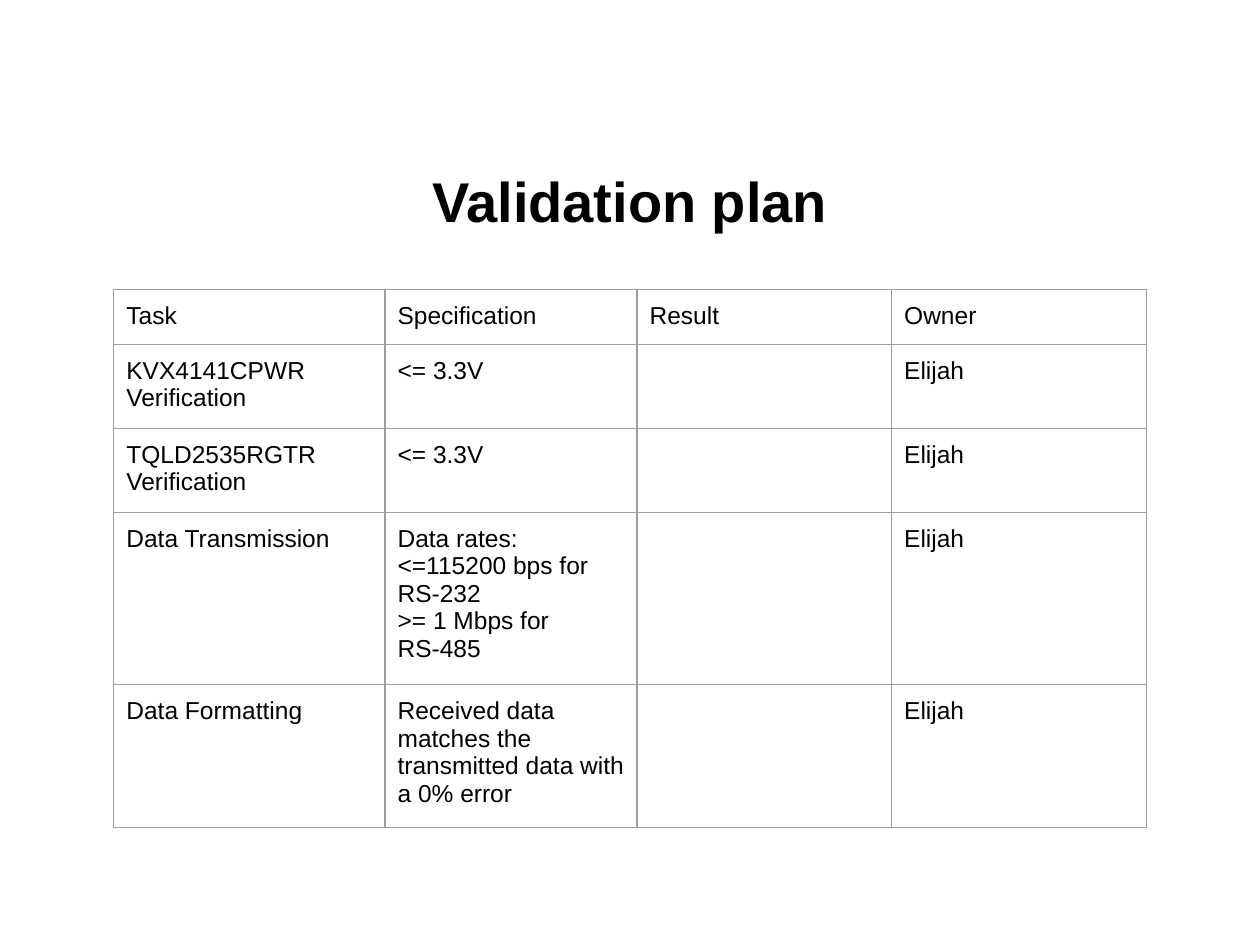
from lxml import etree
from pptx import Presentation
from pptx.dml.color import RGBColor
from pptx.enum.text import MSO_ANCHOR, PP_ALIGN
from pptx.oxml.ns import qn
from pptx.util import Pt

MIDDLE = MSO_ANCHOR.MIDDLE
CENTER = PP_ALIGN.CENTER

COLUMN_WIDTHS = [155, 144, 145.5, 145.5]
ROW_HEIGHTS = [28, 43, 43, 43, 43]
PLAN = [
    ["Task", "Specification", "Result", "Owner"],
    ["KVX4141CPWR Verification", "<= 3.3V", "", "Elijah"],
    ["TQLD2535RGTR Verification", "<= 3.3V", "", "Elijah"],
    ["Data Transmission",
     "Data rates: <=115200 bps for RS-232\n>= 1 Mbps for RS-485", "", "Elijah"],
    ["Data Formatting",
     "Received data matches the transmitted data with a 0% error", "", "Elijah"],
]


def color(hex_string):
    return RGBColor.from_string(hex_string)


class SlideBuilder:
    font_name = "Arial"
    text_color = "000000"
    border_color = "9E9E9E"
    border_width = 0.75
    cell_margin = 7.2

    def __init__(self, slide):
        self.slide = slide

    def format_text(self, text_frame, size, bold=False, align=None):
        for paragraph in text_frame.paragraphs:
            paragraph.alignment = align
            for font in [paragraph.font] + [run.font for run in paragraph.runs]:
                font.name = self.font_name
                font.size = Pt(size)
                font.bold = bold
                font.color.rgb = color(self.text_color)

    def title(self, text, left, top, width, height):
        shape = self.slide.shapes.add_textbox(Pt(left), Pt(top), Pt(width), Pt(height))
        text_frame = shape.text_frame
        text_frame.word_wrap = True
        text_frame.vertical_anchor = MIDDLE
        text_frame.text = text
        self.format_text(text_frame, 32, bold=True, align=CENTER)

    def border(self, cell):
        properties = cell._tc.get_or_add_tcPr()
        for index, side in enumerate(("a:lnL", "a:lnR", "a:lnT", "a:lnB")):
            line = etree.Element(qn(side), w=str(Pt(self.border_width)))
            fill = etree.SubElement(line, qn("a:solidFill"))
            etree.SubElement(fill, qn("a:srgbClr"), val=self.border_color)
            properties.insert(index, line)

    def table(self, rows, left, top, column_widths, row_heights):
        frame = self.slide.shapes.add_table(
            len(rows), len(column_widths), Pt(left), Pt(top),
            Pt(sum(column_widths)), Pt(sum(row_heights)))
        table = frame.table
        table.first_row = False
        table.horz_banding = False
        for column, width in zip(table.columns, column_widths):
            column.width = Pt(width)
        for row, height, texts in zip(table.rows, row_heights, rows):
            row.height = Pt(height)
            for cell, text in zip(row.cells, texts):
                cell.margin_left = cell.margin_right = Pt(self.cell_margin)
                cell.margin_top = cell.margin_bottom = Pt(self.cell_margin)
                cell.fill.background()
                self.border(cell)
                cell.text_frame.text = text
                self.format_text(cell.text_frame, 14)


def main():
    presentation = Presentation()
    presentation.slide_width = Pt(720)
    presentation.slide_height = Pt(540)
    builder = SlideBuilder(presentation.slides.add_slide(presentation.slide_layouts[6]))

    # Heading
    builder.title("Validation plan", 36, 83, 648, 63)

    # Validation tasks
    builder.table(PLAN, 65, 165.5, COLUMN_WIDTHS, ROW_HEIGHTS)

    presentation.save("out.pptx")


if __name__ == "__main__":
    main()
